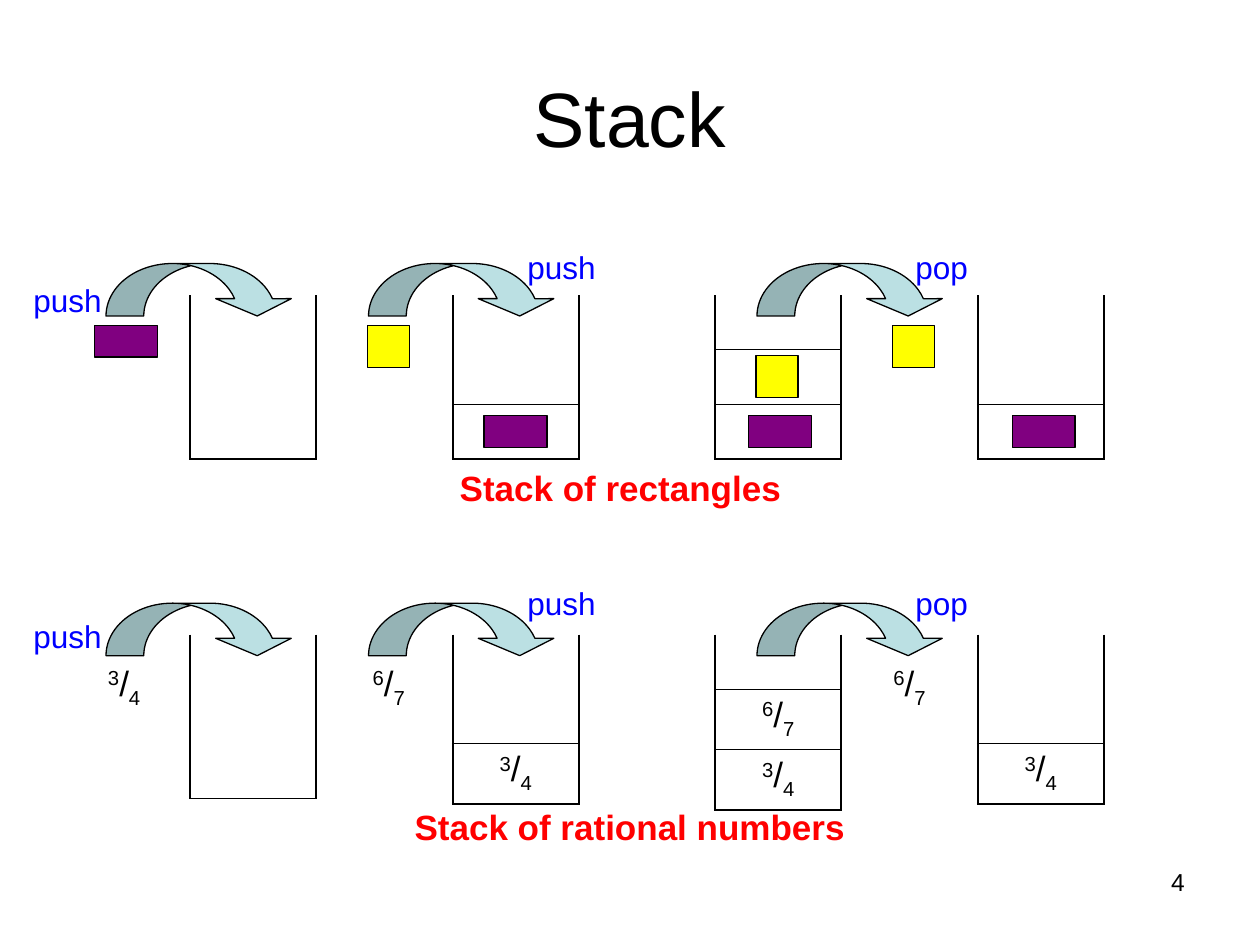
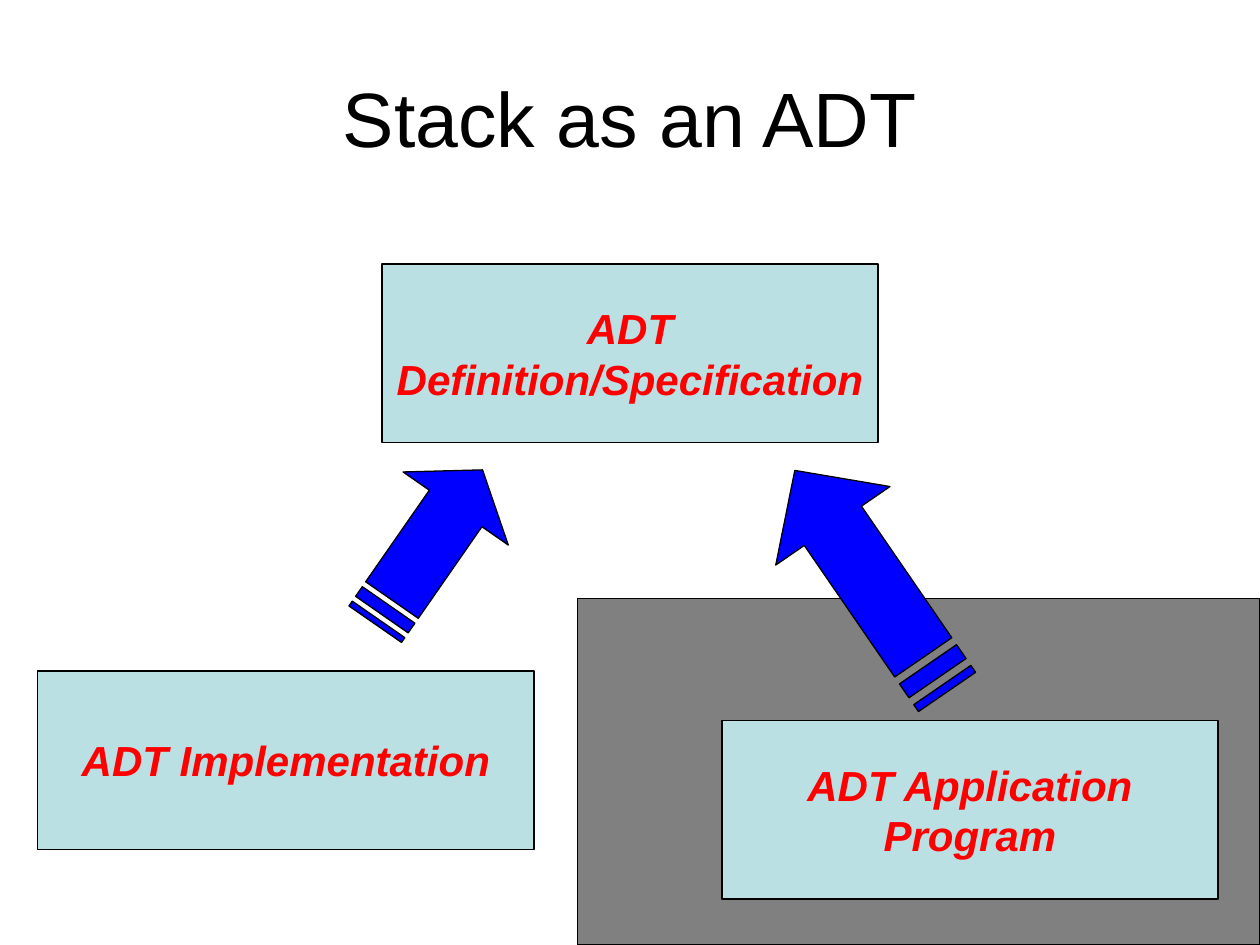
from dataclasses import dataclass
from lxml.etree import SubElement
from pptx import Presentation
from pptx.dml.color import RGBColor
from pptx.enum.shapes import MSO_SHAPE
from pptx.enum.text import MSO_ANCHOR, PP_ALIGN
from pptx.oxml.ns import qn
from pptx.util import Inches, Pt


@dataclass(frozen=True)
class Theme:
    font: str = "Arial"
    ink: str = "000000"
    accent: str = "FF0000"
    action: str = "0000FF"
    panel: str = "BBE0E3"
    backdrop: str = "808080"
    purple: str = "800080"
    yellow: str = "FFFF00"
    title_size: int = 44
    box_size: int = 24
    caption_size: int = 20
    action_size: int = 18
    number_size: int = 14
    outline: float = 0.75
    wall: float = 1.08
    divider: float = 0.45


class SlideWriter:
    COLUMNS, ROWS = 120, 90

    def __init__(self, deck, theme):
        self.deck = deck
        self.theme = theme
        self.page = None

    def grid(self, left, top, width, height):
        column = self.deck.slide_width / self.COLUMNS
        row = self.deck.slide_height / self.ROWS
        return [round(n) for n in (left * column, top * row, width * column, height * row)]

    def new_page(self, title):
        self.page = self.deck.slides.add_slide(self.deck.slide_layouts[6])
        box = self.text(title, (6, 3.6, 108, 15), self.theme.title_size, align=PP_ALIGN.CENTER)
        box.text_frame.vertical_anchor = MSO_ANCHOR.MIDDLE

    def style(self, para, size, color, bold=False, italic=False, align=PP_ALIGN.LEFT):
        para.alignment = align
        font = para.font
        font.name, font.size = self.theme.font, Pt(size)
        font.bold, font.italic = bold, italic
        font.color.rgb = RGBColor.from_string(color)

    def text(self, words, place, size, color=None, bold=False, align=PP_ALIGN.LEFT):
        box = self.page.shapes.add_textbox(*self.grid(*place))
        box.text_frame.word_wrap = True
        para = box.text_frame.paragraphs[0]
        para.text = words
        self.style(para, size, color or self.theme.ink, bold, align=align)
        return box

    def fill_fraction(self, para, fraction, align=PP_ALIGN.LEFT):
        top, bottom = fraction.split("/")
        for words, baseline in ((top, 30000), ("/", 0), (bottom, -25000)):
            span = para.add_run()
            span.text = words
            if baseline:
                span.font._element.set("baseline", str(baseline))
        self.style(para, self.theme.caption_size, self.theme.ink, align=align)

    def fraction(self, fraction, left, top):
        box = self.page.shapes.add_textbox(*self.grid(left, top, 8, 5.8))
        box.text_frame.word_wrap = True
        self.fill_fraction(box.text_frame.paragraphs[0], fraction)

    def paint(self, shape, fill):
        shape.shadow.inherit = False
        shape.fill.solid()
        shape.fill.fore_color.rgb = RGBColor.from_string(fill)
        shape.line.color.rgb = RGBColor.from_string(self.theme.ink)
        shape.line.width = Pt(self.theme.outline)
        return shape

    def shape(self, place, fill, kind=MSO_SHAPE.RECTANGLE):
        return self.paint(self.page.shapes.add_shape(kind, *self.grid(*place)), fill)

    def labelled_box(self, words, left, top):
        box = self.shape((left, top, 47.25, 17), self.theme.panel)
        frame = box.text_frame
        frame.word_wrap = True
        frame.vertical_anchor = MSO_ANCHOR.MIDDLE
        para = frame.paragraphs[0]
        para.text = words
        self.style(para, self.theme.box_size, self.theme.accent, True, True, PP_ALIGN.CENTER)

    def curved_arrow(self, left, top):
        arrow = self.shape((left, top, 18, 5), self.theme.panel, MSO_SHAPE.CURVED_DOWN_ARROW)
        for index, share in enumerate((0.72, 1.44, 0.33)):
            arrow.adjustments[index] = share

    def striped_arrow(self, place, rotation):
        left, top, width, height = self.grid(*place)
        body = [(5 / 32, 0.25), (0.75, 0.25), (0.75, 0), (1, 0.5),
                (0.75, 1), (0.75, 0.75), (5 / 32, 0.75)]
        stripes = [[(a, 0.25), (b, 0.25), (b, 0.75), (a, 0.75)]
                   for a, b in ((1 / 16, 1 / 8), (0, 1 / 32))]
        outlines = [[(left + x * width, top + y * height) for x, y in outline]
                    for outline in (body, *stripes)]
        builder = self.page.shapes.build_freeform(*outlines[0][0])
        for index, outline in enumerate(outlines):
            if index:
                builder.move_to(*outline[0])
            builder.add_line_segments(outline[1:], close=True)
        self.paint(builder.convert_to_shape(), self.theme.action).rotation = rotation

    def cell_borders(self, cell, top, bottom):
        properties = cell._tc.get_or_add_tcPr()
        wall = self.theme.wall
        for side, width in (("L", wall), ("R", wall), ("T", top), ("B", bottom)):
            border = SubElement(properties, qn(f"a:ln{side}"), w=str(Pt(width)))
            if width:
                fill = SubElement(border, qn("a:solidFill"))
                SubElement(fill, qn("a:srgbClr"), val=self.theme.ink)
            else:
                SubElement(border, qn("a:noFill"))

    def stack(self, left, top, levels):
        heights = [5.75 if level else 5.2 for level in levels]
        place = self.grid(left, top, 12, sum(heights))
        table = self.page.shapes.add_table(len(levels), 1, *place).table
        table.first_row = table.horz_banding = False
        edges = [0 if level is None else self.theme.divider for level in levels]
        edges.append(self.theme.wall)
        for index, (level, height) in enumerate(zip(levels, heights)):
            table.rows[index].height = self.grid(0, 0, 0, height)[3]
            cell = table.cell(index, 0)
            self.cell_borders(cell, edges[index], edges[index + 1])
            cell.fill.background()
            if level:
                para = cell.text_frame.paragraphs[0]
                para.space_before = Pt(5)
                self.fill_fraction(para, level, PP_ALIGN.CENTER)

    def stack_story(self, top, first, second, caption, caption_left, caption_width):
        theme = self.theme
        states = ((None, None, None), (None, None, first),
                  (None, second, first), (None, None, first))
        for index, levels in enumerate(states):
            self.stack(18.12 + 25 * index, top + 3, levels)
        for left in (10.1, 35.1, 72.1):
            self.curved_arrow(left, top)
        self.text(caption, (caption_left, top + 18.7, caption_width, 5.3),
                  theme.caption_size, theme.accent, True)

    def actions(self, top):
        for words, left, drop in (("push", 2, 3.2), ("push", 49.05, 0), ("pop", 86, 0)):
            self.text(words, (left, top + drop, 10, 4.8),
                      self.theme.action_size, self.theme.action)


def stack_page(writer):
    theme = writer.theme
    writer.new_page("Stack")
    writer.text("4", (86, 82, 28, 6.2), theme.number_size, align=PP_ALIGN.RIGHT)
    writer.stack_story(57.45, "3/4", "6/7", "Stack of rational numbers", 38.3, 45)
    for fraction, left in (("3/4", 9.1), ("6/7", 34.3), ("6/7", 83.9)):
        writer.fraction(fraction, left, 62.4)
    writer.stack_story(25.1, "", "", "Stack of rectangles", 42.6, 35)
    for top in (55, 23):
        writer.actions(top)
    for left, top in ((9, 31), (46.1, 39.6), (71.3, 39.6), (96.4, 39.6)):
        writer.shape((left, top, 6, 3), theme.purple)
    for left, top in ((35, 31), (72, 33.85), (85, 31)):
        writer.shape((left, top, 4, 4), theme.yellow)


def adt_page(writer):
    writer.new_page("Stack as an ADT")
    writer.shape((55, 57, 65, 33), writer.theme.backdrop)
    writer.labelled_box("ADT Implementation", 3.6, 63.9)
    writer.striped_arrow((31.9, 46, 17.9, 12.2), 304.8)
    writer.striped_arrow((70.15, 48.75, 25.6, 13.2), 235.5)
    writer.labelled_box("ADT Definition/Specification", 36.38, 25.15)
    writer.labelled_box("ADT Application Program", 68.75, 68.63)


def main():
    deck = Presentation()
    deck.slide_width, deck.slide_height = Inches(10), Inches(7.5)
    writer = SlideWriter(deck, Theme())
    stack_page(writer)
    adt_page(writer)
    deck.save("out.pptx")


if __name__ == "__main__":
    main()
